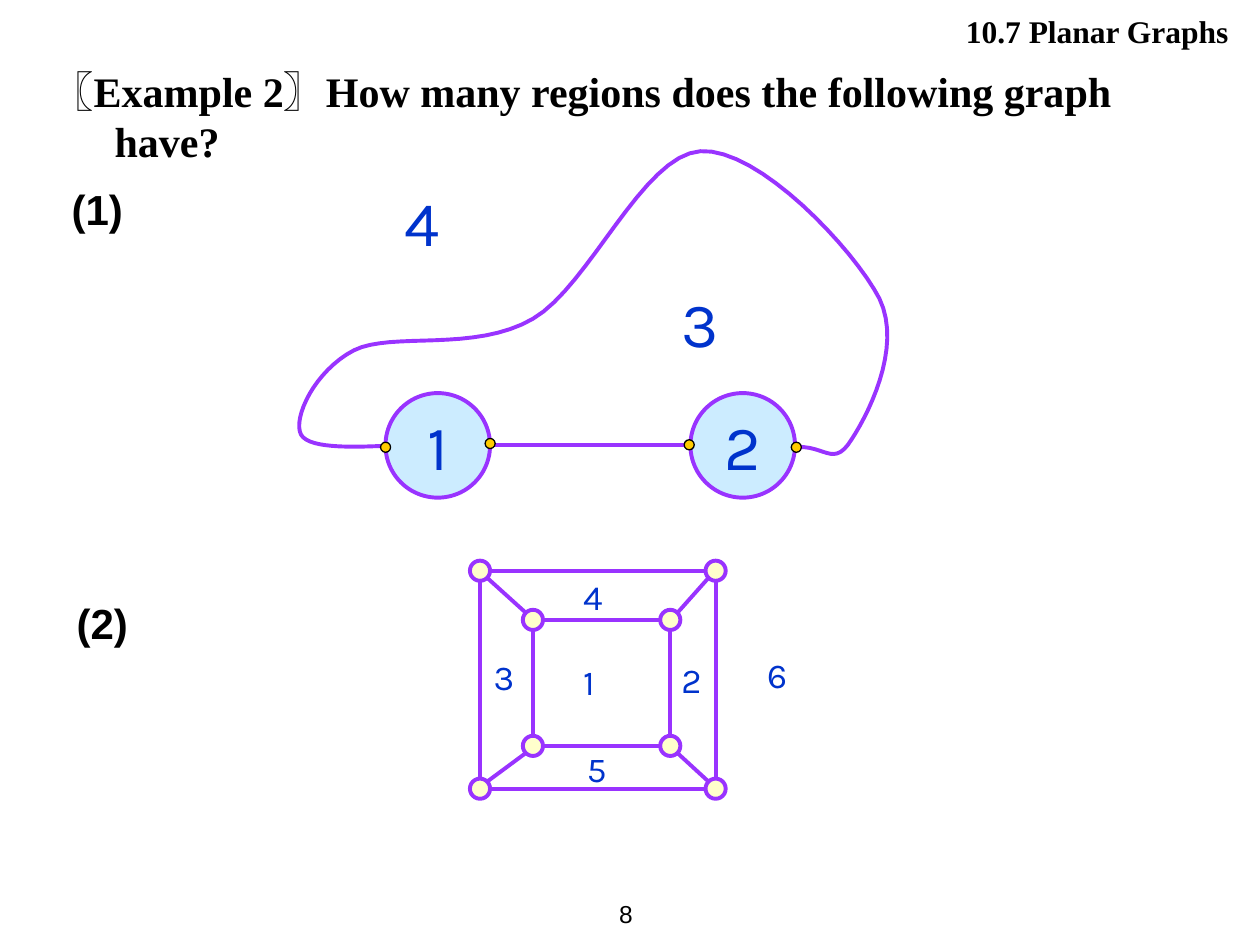
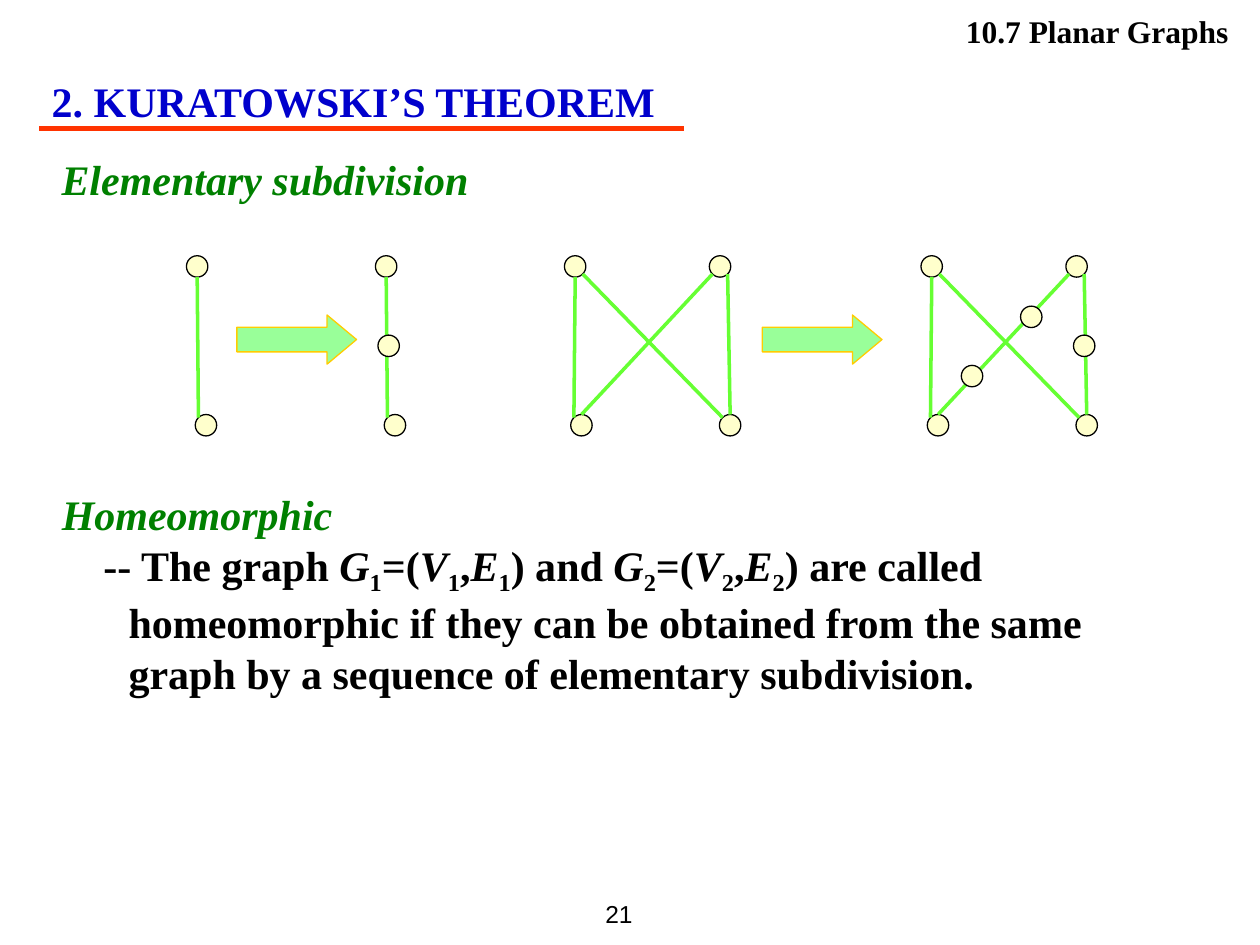
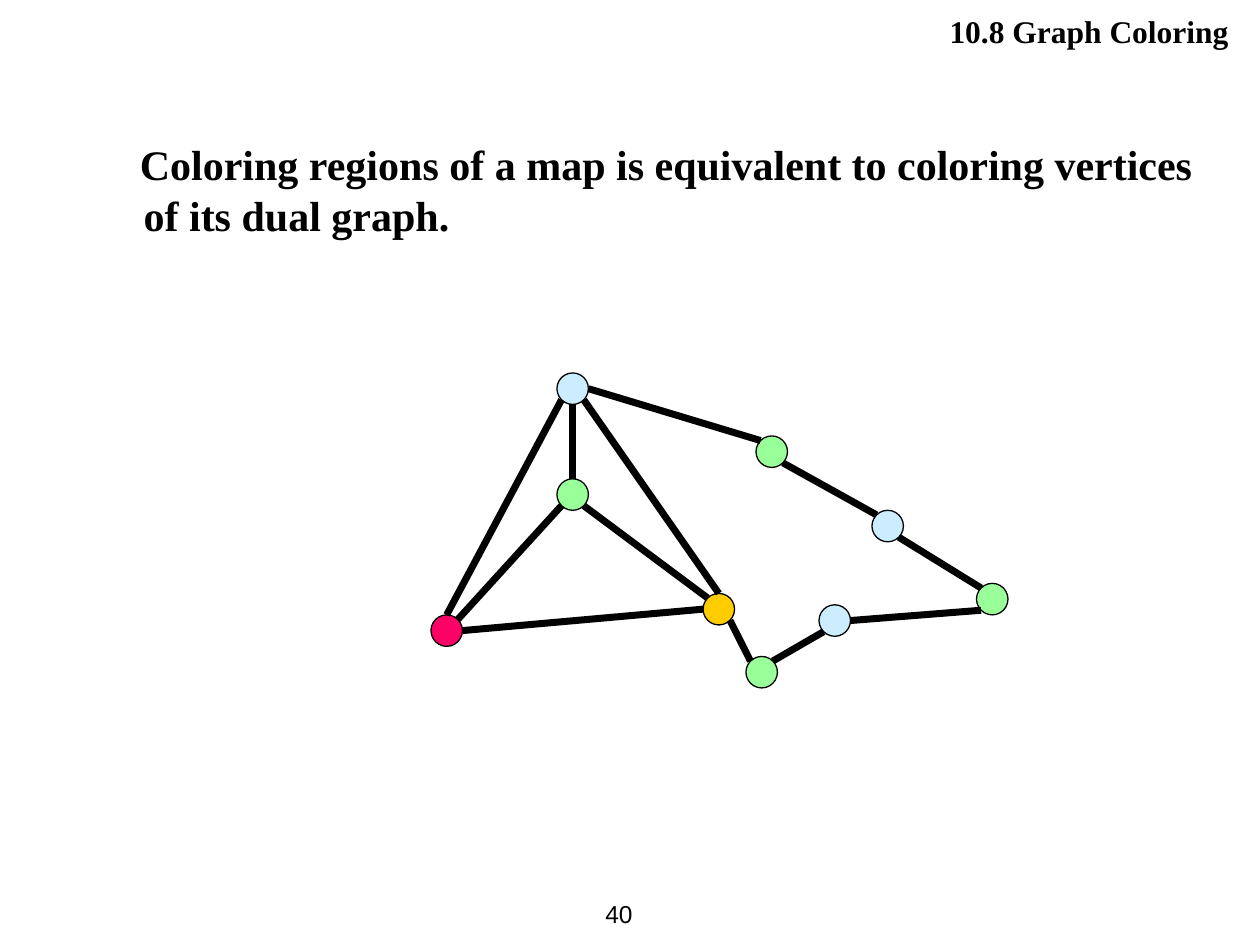
"""Builds three lecture slides on planar graphs and graph coloring."""
from pptx import Presentation
from pptx import util as u
from pptx.dml.color import RGBColor
from pptx.enum import shapes, text
from pptx.oxml.xmlchemy import OxmlElement

PX = 9144
SERIF, SANS, DIGITS = "Times New Roman", "Arial", "Karla"
COLORS = {
    "black": "000000", "purple": "9933FF", "digit": "0033CC", "sky": "CCECFF",
    "gold": "FFCC00", "cream": "FFFFCC", "title": "0000CC", "rule": "FF3300",
    "term": "008000", "lime": "66FF33", "mint": "99FF99", "red": "FF0066",
}
DIAGONAL = 0.5 ** 0.5
SIDES = {
    "n": (0, -1), "s": (0, 1), "w": (-1, 0), "e": (1, 0),
    "nw": (-DIAGONAL, -DIAGONAL), "ne": (DIAGONAL, -DIAGONAL),
    "sw": (-DIAGONAL, DIAGONAL), "se": (DIAGONAL, DIAGONAL),
}
ALIGN, ANCHOR, FIT = text.PP_ALIGN, text.MSO_ANCHOR, text.MSO_AUTO_SIZE
TITLE_CONTENT, TITLE_ONLY = 1, 5


def rgb(name):
    return RGBColor.from_string(COLORS[name])


def emu(*lengths):
    return [round(length * PX) for length in lengths]


def bezier(start, first, second, end, steps=16):
    for step in range(1, steps + 1):
        t = step / steps
        weights = ((1 - t) ** 3, 3 * t * (1 - t) ** 2, 3 * t * t * (1 - t), t ** 3)
        yield tuple(sum(w * point[axis] for w, point in zip(weights, (start, first, second, end)))
                    for axis in (0, 1))


class Deck:
    """Holds the lecture style and the slide being drawn."""

    def __init__(self):
        self.file = Presentation()
        self.file.slide_width, self.file.slide_height = emu(1000, 750)
        self.slide = None

    def new_slide(self, layout, section, page):
        self.slide = self.file.slides.add_slide(self.file.slide_layouts[layout])
        self.label(section, (398, 5, 587, 40), 18, SERIF, bold=True, align=ALIGN.RIGHT)
        self.label(page, (445, 700, 67, 50), 14, SANS, align=ALIGN.RIGHT, anchor=ANCHOR.MIDDLE)

    def paragraph(self, target, content, size, font, color="black", bold=False, italic=None,
                  align=ALIGN.LEFT, indent=None):
        target.alignment = align
        target.space_before = u.Pt(0)
        if indent:
            properties = target._p.get_or_add_pPr()
            for key, length in zip(("marL", "indent"), emu(*indent)):
                properties.set(key, str(length))
            properties.insert_element_before(OxmlElement("a:buNone"), "a:tabLst", "a:defRPr", "a:extLst")
        target.font.size, target.font.name = u.Pt(size), font
        target.font.bold, target.font.italic = bold, italic
        target.font.color.rgb = rgb(color)
        for words, style in [(content, "")] if isinstance(content, str) else content:
            run = target.add_run()
            run.text = words
            if style == "italic":
                run.font.italic = True
            elif style == "sub":
                run._r.get_or_add_rPr().set("baseline", "-25000")
            elif style:
                run.font.name = style

    def label(self, content, box, size, font, wrap=True, anchor=ANCHOR.TOP, **style):
        frame = self.slide.shapes.add_textbox(*emu(*box)).text_frame
        frame.word_wrap, frame.vertical_anchor = wrap, anchor
        frame.auto_size = FIT.NONE if wrap else FIT.SHAPE_TO_FIT_TEXT
        self.paragraph(frame.paragraphs[0], content, size, font, **style)

    def placeholder(self, index, box, paragraphs):
        holder = self.slide.placeholders[index]
        holder.left, holder.top, holder.width, holder.height = emu(*box)
        frame = holder.text_frame
        frame.auto_size, frame.vertical_anchor, frame.word_wrap = FIT.NONE, ANCHOR.TOP, True
        for number, (content, style) in enumerate(paragraphs):
            target = frame.add_paragraph() if number else frame.paragraphs[0]
            self.paragraph(target, content, 24, SERIF, bold=True, **style)

    def title(self, content, box, **style):
        self.placeholder(0, box, [(content, style)])

    def line(self, start, end, color, width):
        connector = self.slide.shapes.add_connector(
            shapes.MSO_CONNECTOR.STRAIGHT, *emu(*start, *end))
        connector.line.color.rgb, connector.line.width = rgb(color), u.Pt(width)
        connector._element.spPr.append(OxmlElement("a:effectLst"))

    def outline(self, shape, fill, color, width):
        shape.shadow.inherit = False
        if fill:
            shape.fill.solid()
            shape.fill.fore_color.rgb = rgb(fill)
        else:
            shape.fill.background()
        shape.line.color.rgb, shape.line.width = rgb(color), u.Pt(width)

    def shape(self, kind, box, fill, color="black", width=0.75):
        added = self.slide.shapes.add_shape(kind, *emu(*box))
        self.outline(added, fill, color, width)
        return added

    def curve(self, start, segments, color, width):
        points = [start]
        for segment in segments:
            points.extend(bezier(points[-1], *segment))
        builder = self.slide.shapes.build_freeform(*emu(*start))
        builder.add_line_segments([emu(*point) for point in points[1:]], close=False)
        self.outline(builder.convert_to_shape(), None, color, width)

    def graph(self, vertices, edges, size, edge_color="black", edge_width=1,
              kind=shapes.MSO_SHAPE.OVAL, **rim):
        def rim_point(name, side):
            return [corner + size / 2 * (1 + step)
                    for corner, step in zip(vertices[name], SIDES[side])]

        for left, top, fill in vertices.values():
            self.shape(kind, (left, top, size, size), fill, **rim)
        for edge in edges:
            start, start_side, end, end_side = edge.split()
            self.line(rim_point(start, start_side), rim_point(end, end_side), edge_color, edge_width)


def regions_slide(deck):
    deck.new_slide(TITLE_ONLY, "10.7 Planar Graphs", "8")
    deck.title([("〖", SANS), ("Example 2〗How many regions does the following graph have?", "")],
               (31, 47, 914, 90), indent=(50, -50))
    for part, left, top in (("(1)", 47, 141), ("(2)", 51, 469)):
        deck.label(part, (left, top, 100, 50), 24, SANS, bold=True)

    purple = {"color": "purple", "width": 2.25}
    deck.curve((323, 353), [
        ((284, 355), (246, 357), (239, 345)), ((232, 332), (250, 294), (281, 278)),
        ((311, 263), (377, 280), (423, 253)), ((468, 227), (510, 123), (556, 120)),
        ((602, 117), (678, 198), (698, 237)), ((717, 276), (688, 332), (673, 353)),
        ((657, 374), (650, 341), (606, 362)),
    ], **purple)
    deck.line((373, 353), (556, 353), **purple)
    for region, left in (("2", 548), ("1", 306)):
        frame = deck.shape(shapes.MSO_SHAPE.OVAL, (left, 312, 83, 83), "sky", **purple).text_frame
        frame.word_wrap, frame.vertical_anchor = False, ANCHOR.MIDDLE
        deck.paragraph(frame.paragraphs[0], region, 36, DIGITS, "digit", align=ALIGN.CENTER)
    joints = ((543, 349), (385, 348), (628, 351), (302, 351))
    deck.graph({joint: (*joint, "gold") for joint in joints}, [], 8)
    for region, left, top in (("3", 531, 221), ("4", 311, 141)):
        deck.label(region, (left, top, 47, 70), 36, DIGITS, wrap=False, color="digit")

    squares = {"outer": ((373, 560), (445, 618)), "inner": ((415, 524), (484, 584))}
    corners = {f"{square}-{vertical}{side}": (left, top, "cream")
               for square, (lefts, tops) in squares.items()
               for vertical, top in zip("ns", tops)
               for side, left in zip("we", lefts)}
    edges = [f"{square}-{edge}" for square in squares for edge in (
        f"nw e {square}-ne w", f"nw s {square}-sw n",
        f"sw e {square}-se w", f"ne s {square}-se n")]
    opposite = {"nw": "se", "ne": "sw", "sw": "ne", "se": "nw"}
    edges += [f"inner-{corner} {corner} outer-{corner} {facing}"
              for corner, facing in opposite.items()]
    deck.graph(corners, edges, 16, "purple", 2.25, **purple)
    for region, left, top in (("1", 453, 519), ("2", 531, 518), ("3", 382, 515),
                              ("4", 453, 452), ("5", 456, 588), ("6", 599, 514)):
        deck.label(region, (left, top, 35, 43), 20, DIGITS, wrap=False, color="digit")


def kuratowski_slide(deck):
    deck.new_slide(TITLE_CONTENT, "10.7 Planar Graphs", "21")
    deck.title("2. KURATOWSKI’S THEOREM", (31, 55, 921, 50), color="title", indent=(50, -50))
    deck.line((31, 102), (543, 102), "rule", 3)
    term = {"color": "term", "italic": True}
    deck.label("Elementary subdivision", (39, 117, 914, 50), 24, SERIF, bold=True, **term)

    look = {"size": 17, "edge_color": "lime", "edge_width": 2,
            "kind": shapes.MSO_SHAPE.FLOWCHART_CONNECTOR}
    for left in (148, 298):
        deck.graph({"top": (left, 203, "cream"), "bottom": (left + 7, 329, "cream")},
                   ["top s bottom nw"], **look)
    for left in (448, 731):
        deck.graph({"tl": (left, 203, "cream"), "tr": (left + 115, 203, "cream"),
                    "bl": (left + 5, 329, "cream"), "br": (left + 123, 329, "cream")},
                   ["tl s bl nw", "tr sw bl n", "tl se br nw", "tr se br n"], **look)
    subdivisions = ((300, 266), (852, 266), (810, 243), (763, 290))
    deck.graph({spot: (*spot, "cream") for spot in subdivisions}, [], **look)
    for left in (188, 605):
        arrow = deck.shape(shapes.MSO_SHAPE.RIGHT_ARROW, (left, 250, 95, 39), "mint", "gold")
        arrow.adjustments[0], arrow.adjustments[1] = 0.5, 0.6

    definition = []
    for lead, number in (("-- The graph ", "1"), (") and ", "2")):
        for before, symbol in ((lead, "G"), ("=(", "V"), (",", "E")):
            definition += [(before, ""), (symbol, "italic"), (number, "sub")]
    definition.append((") are called homeomorphic if they can be obtained from the same "
                       "graph by a sequence of elementary subdivision.", ""))
    deck.placeholder(1, (39, 383, 914, 172), [
        ("Homeomorphic", {"indent": (53, -53), **term}),
        (definition, {"indent": (53, -20)}),
    ])


def coloring_slide(deck):
    deck.new_slide(TITLE_ONLY, "10.8 Graph Coloring", "40")
    deck.title("Coloring regions of a map is equivalent to coloring vertices of its dual graph.",
               (51, 105, 910, 91), indent=(53, -3))
    vertices = {
        "apex": (442, 296, "sky"), "center": (442, 380, "mint"), "west": (342, 488, "red"),
        "hub": (558, 471, "gold"), "low": (592, 521, "mint"), "inlet": (650, 480, "sky"),
        "east": (775, 463, "mint"), "slope": (692, 405, "sky"), "ridge": (600, 346, "mint"),
    }
    deck.graph(vertices, [
        "west ne center sw", "hub n apex se", "center n apex s", "west e hub w",
        "hub nw center se", "apex e ridge nw", "west n apex sw", "low nw hub se",
        "low ne inlet sw", "east sw inlet e", "east nw slope se", "ridge se slope nw",
    ], 25, "black", 4)


def main():
    deck = Deck()
    regions_slide(deck)
    kuratowski_slide(deck)
    coloring_slide(deck)
    deck.file.save("out.pptx")


if __name__ == "__main__":
    main()
